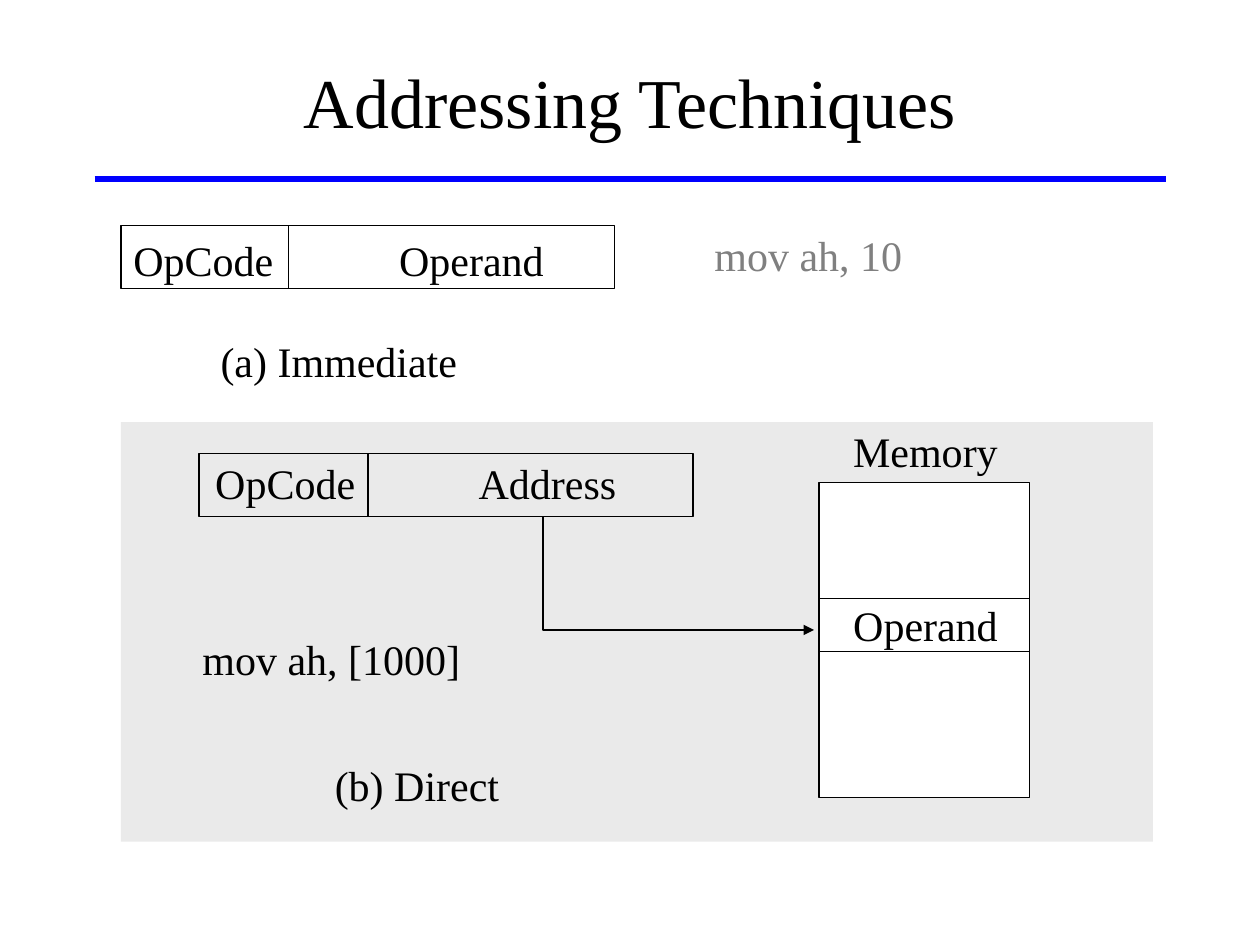
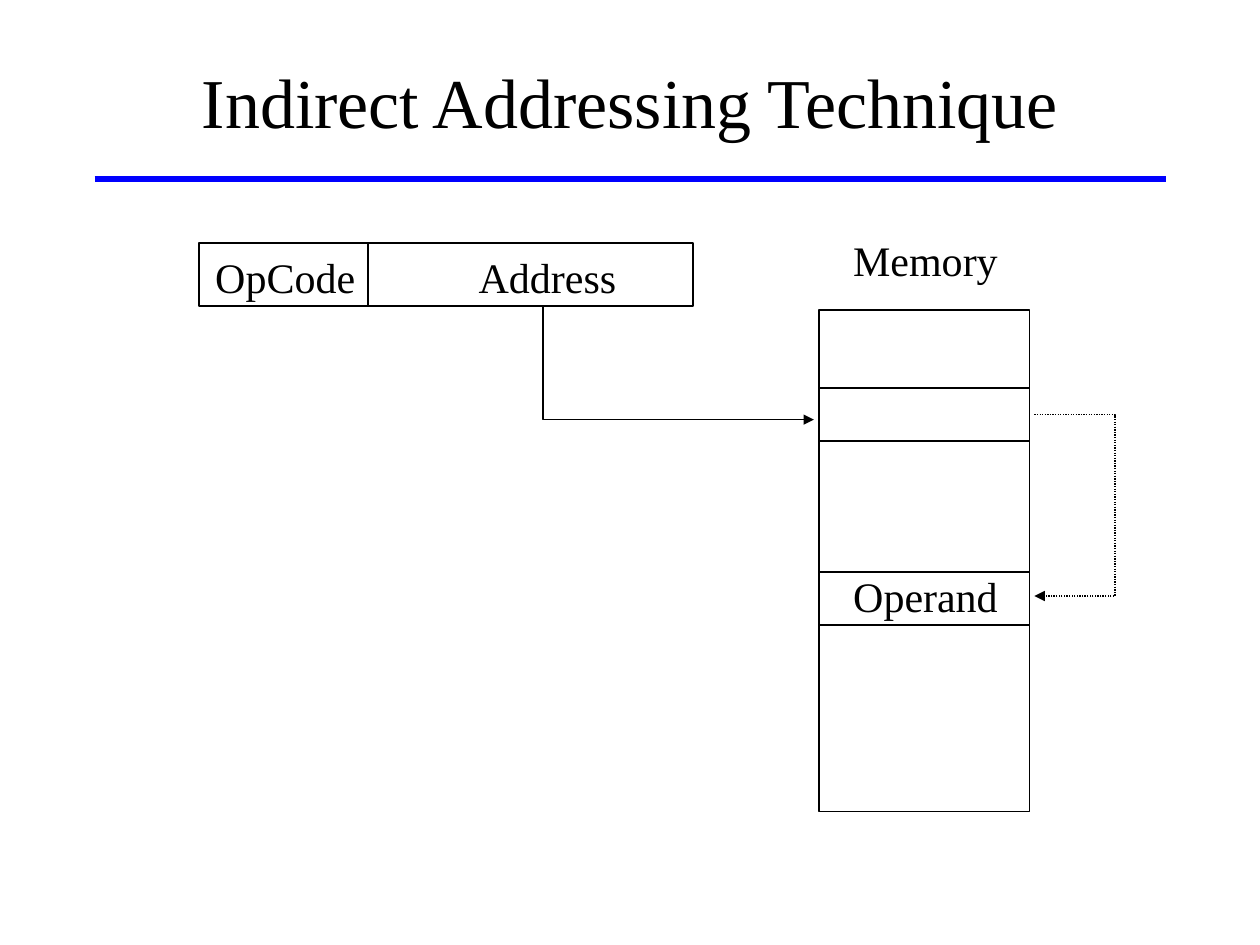
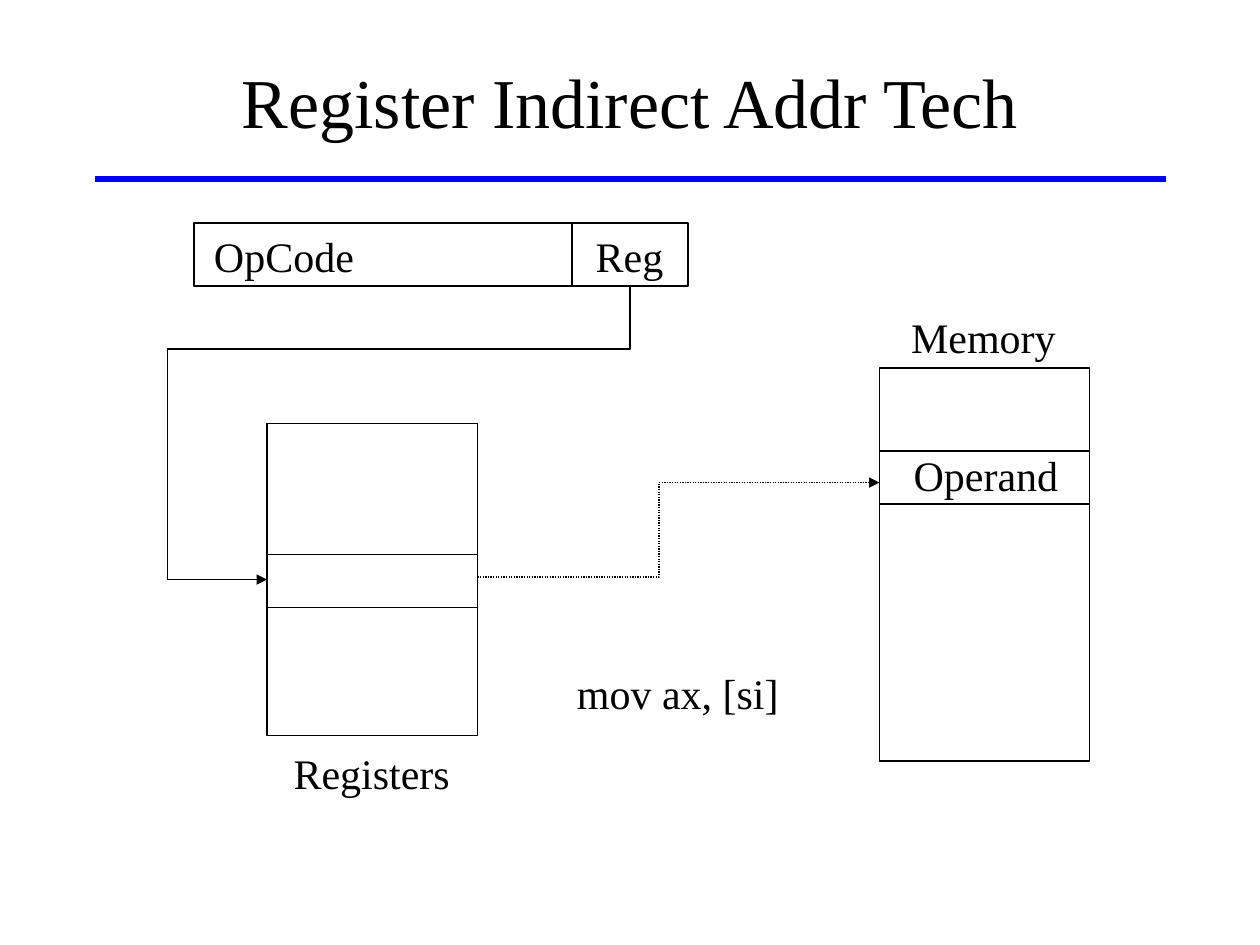
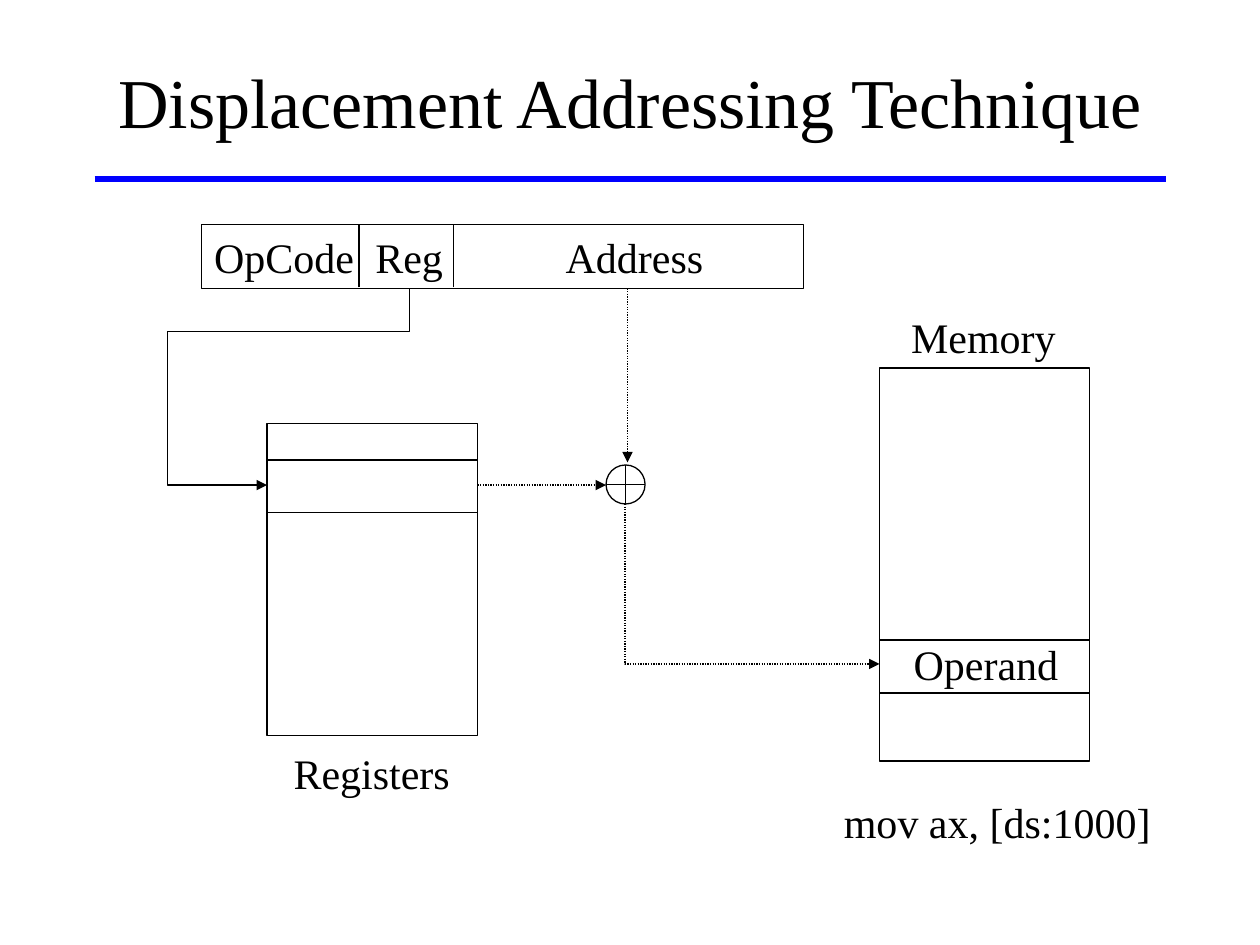
import dataclasses

import lxml.etree
import pptx
import pptx.dml.color
import pptx.enum.dml
import pptx.enum.shapes
import pptx.enum.text
import pptx.oxml.ns
import pptx.util

Inches = pptx.util.Inches
Pt = pptx.util.Pt
qn = pptx.oxml.ns.qn
RGB = pptx.dml.color.RGBColor.from_string
Shape = pptx.enum.shapes.MSO_SHAPE
Align = pptx.enum.text.PP_ALIGN
Anchor = pptx.enum.text.MSO_ANCHOR
GROW = pptx.enum.text.MSO_AUTO_SIZE.SHAPE_TO_FIT_TEXT
DOTTED = pptx.enum.dml.MSO_LINE.ROUND_DOT


@dataclasses.dataclass(frozen=True)
class Theme:
    font: str = "Times New Roman"
    ink: str = "000000"
    muted: str = "808080"
    rule: str = "0000FF"
    panel: str = "EAEAEA"
    paper: str = "FFFFFF"
    title_size: float = 40
    body_size: float = 24
    body_line: float = 28.8
    hairline: float = 0.75
    rule_width: float = 3


THEME = Theme()
COLUMN_WIDTH = 1.67
ROW_HEIGHT = 0.42
LABEL_HEIGHT = 0.5


def set_all(obj, values):
    for name, value in values.items():
        setattr(obj, name, value)


def inches(values):
    return [Inches(v) for v in values]


def write(p, text, size=THEME.body_size, color=THEME.ink, align=Align.CENTER):
    p.alignment = align
    r = p.add_run()
    r.text = text
    set_all(r.font, {"name": THEME.font, "size": Pt(size)})
    r.font.color.rgb = RGB(color)


def add_slide(prs, title):
    s = prs.slides.add_slide(prs.slide_layouts[5])
    sp = s.shapes.title
    left, top, width, height = inches((0.75, 0.17, 8.5, 1.25))
    set_all(sp, {"left": left, "top": top, "width": width, "height": height})
    sp.text_frame.vertical_anchor = Anchor.MIDDLE
    write(sp.text_frame.paragraphs[0], title, THEME.title_size)
    return s


def style_line(sp, color=THEME.ink, width=THEME.hairline, dash=None, arrow=False):
    sp.line.color.rgb = RGB(color)
    sp.line.width = Pt(width)
    if dash:
        sp.line.dash_style = dash
    if arrow:
        ln = sp.element.spPr.find(qn("a:ln"))
        lxml.etree.SubElement(ln, qn("a:tailEnd"), type="triangle")


def add_line(s, start, end, **style):
    sp = s.shapes.add_connector(
        pptx.enum.shapes.MSO_CONNECTOR.STRAIGHT, *inches(start + end))
    style_line(sp, **style)
    lxml.etree.SubElement(sp.element.spPr, qn("a:effectLst"))
    return sp


def add_route(s, points, dash=None):
    """Draw an open bent arrow through the points."""
    start, *rest = [tuple(inches(point)) for point in points]
    builder = s.shapes.build_freeform(*start)
    builder.add_line_segments(rest, close=False)
    sp = builder.convert_to_shape()
    sp.fill.background()
    sp.shadow.inherit = False
    style_line(sp, dash=dash, arrow=True)


def add_box(s, at, fill=None, outlined=True, kind=Shape.RECTANGLE):
    sp = s.shapes.add_shape(kind, *inches(at))
    sp.shadow.inherit = False
    if fill:
        sp.fill.solid()
        sp.fill.fore_color.rgb = RGB(fill)
    else:
        sp.fill.background()
    if outlined:
        style_line(sp)
    else:
        sp.line.fill.background()
    return sp


def add_label(s, text, left, top, width, color=THEME.ink):
    sp = s.shapes.add_textbox(*inches((left, top, width, LABEL_HEIGHT)))
    set_all(sp.text_frame, {"word_wrap": False, "auto_size": GROW,
                            "vertical_anchor": Anchor.MIDDLE})
    write(sp.text_frame.paragraphs[0], text, color=color)


def add_instruction(s, at, dividers, fields, tabs, text_at=None,
                    caption=None, blank_lines=0):
    """Draw an instruction word; its field names sit at tab stops."""
    box = add_box(s, at)
    holder = s.shapes.add_textbox(*inches(text_at)) if text_at else box
    tf = holder.text_frame
    set_all(tf, {"word_wrap": True, "vertical_anchor": Anchor.MIDDLE})
    p = tf.paragraphs[0]
    write(p, "\t".join(fields), align=Align.LEFT)
    stops = lxml.etree.SubElement(p._p.get_or_add_pPr(), qn("a:tabLst"))
    for tab in tabs:
        lxml.etree.SubElement(stops, qn("a:tab"), pos=str(Inches(tab)), algn="l")
    if caption:
        p = tf.add_paragraph()
        p.space_before = Pt(blank_lines * THEME.body_line)
        write(p, caption)
    top = at[1]
    for x in dividers:
        add_line(s, (x, top + 0.5), (x, top))


def add_column(s, left, top, height, rows):
    """Draw a storage column with marked rows, each given by its top."""
    add_box(s, (left, top, COLUMN_WIDTH, height), THEME.paper)
    for row in rows:
        for y in (row, row + ROW_HEIGHT):
            add_line(s, (left, y), (left + COLUMN_WIDTH, y))


def add_memory(s, left, top, height, rows, name_at, operand_at):
    add_column(s, left, top, height, rows)
    add_label(s, "Memory", *name_at, 1.35)
    add_label(s, "Operand", *operand_at, 1.35)


def add_registers(s, row):
    add_column(s, 2.12, 3.36, 2.48, [row])
    add_label(s, "Registers", 2.23, 5.88, 1.44)


def add_adder(s, left, top, size):
    add_box(s, (left, top, size, size), THEME.paper, kind=Shape.OVAL)
    x, y = left + size / 2, top + size / 2
    add_line(s, (left, y), (left + size, y))
    add_line(s, (x, top), (x, top + size))


def build_immediate_and_direct(prs):
    s = add_slide(prs, "Addressing Techniques")
    add_instruction(s, (0.96, 1.79, 3.92, 0.5), [2.29], ["OpCode", "Operand"],
                    [2.11], (0.96, 1.81, 3.46, 1.3), "(a) Immediate", 1)
    add_label(s, "mov ah, 10", 5.57, 1.77, 1.69, THEME.muted)

    add_box(s, (0.96, 3.35, 8.19, 3.33), THEME.panel, outlined=False)
    add_instruction(s, (1.58, 3.6, 3.92, 0.5), [2.92], ["OpCode", "Address"],
                    [2.09], (1.61, 3.58, 3.4, 2.9), "(b) Direct", 5)
    add_memory(s, 6.5, 3.83, 2.5, [4.75], (6.67, 3.33), (6.67, 4.71))
    add_route(s, [(4.31, 4.1), (4.31, 5), (6.46, 5)])
    add_label(s, "mov ah, [1000]", 1.47, 4.98, 2.32)
    return s


def build_indirect(prs):
    s = add_slide(prs, "Indirect Addressing Technique")
    add_instruction(s, (1.58, 1.93, 3.92, 0.5), [2.92], ["OpCode", "Address"],
                    [2.09], (1.61, 1.95, 3.4, 0.5))
    add_memory(s, 6.5, 2.46, 3.98, [3.08, 4.54], (6.67, 1.81), (6.67, 4.48))
    add_route(s, [(4.31, 2.44), (4.31, 3.33), (6.46, 3.33)])
    add_route(s, [(8.21, 3.29), (8.85, 3.29), (8.85, 4.73), (8.21, 4.73)], DOTTED)


def build_register_indirect(prs):
    s = add_slide(prs, "Register Indirect Addr Tech")
    add_instruction(s, (1.54, 1.77, 3.92, 0.5), [4.54], ["OpCode", "Reg"],
                    [3.03], (1.6, 1.78, 3.86, 0.5))
    add_registers(s, 4.4)
    add_route(s, [(5, 2.27), (5, 2.77), (1.33, 2.77), (1.33, 4.6), (2.12, 4.6)])
    add_memory(s, 6.98, 2.92, 3.12, [3.58], (7.13, 2.42), (7.15, 3.52))
    add_route(s, [(3.79, 4.58), (5.23, 4.58), (5.23, 3.83), (6.98, 3.83)], DOTTED)
    add_label(s, "mov ax, [si]", 4.48, 5.25, 1.8)


def build_displacement(prs):
    s = add_slide(prs, "Displacement Addressing Technique")
    add_registers(s, 3.65)
    add_route(s, [(3.25, 2.29), (3.25, 2.63), (1.33, 2.63), (1.33, 3.85),
                  (2.12, 3.85)])
    add_memory(s, 6.98, 2.92, 3.12, [5.08], (7.13, 2.42), (7.15, 5.02))
    add_instruction(s, (1.6, 1.78, 4.78, 0.51), [2.85, 3.6],
                    ["OpCode", "Reg", "Address"], [1.28, 2.79])
    add_adder(s, 4.81, 3.69, 0.31)
    add_line(s, (4.98, 2.29), (4.98, 3.67), dash=DOTTED, arrow=True)
    add_line(s, (3.79, 3.85), (4.81, 3.85), dash=DOTTED, arrow=True)
    add_route(s, [(4.96, 4), (4.96, 5.27), (6.98, 5.27)], DOTTED)
    add_label(s, "mov ax, [ds:1000]", 6.56, 6.27, 2.71)


def share_title_rule(s):
    """Place the line under the title on the layout, so every slide shows it."""
    rule = add_line(s, (0.75, 1.42), (9.25, 1.42),
                    color=THEME.rule, width=THEME.rule_width)
    s.slide_layout.element.cSld.spTree.append(rule.element)


def main():
    prs = pptx.Presentation()
    set_all(prs, {"slide_width": Inches(10), "slide_height": Inches(7.5)})
    share_title_rule(build_immediate_and_direct(prs))
    build_indirect(prs)
    build_register_indirect(prs)
    build_displacement(prs)
    prs.save("out.pptx")


if __name__ == "__main__":
    main()
